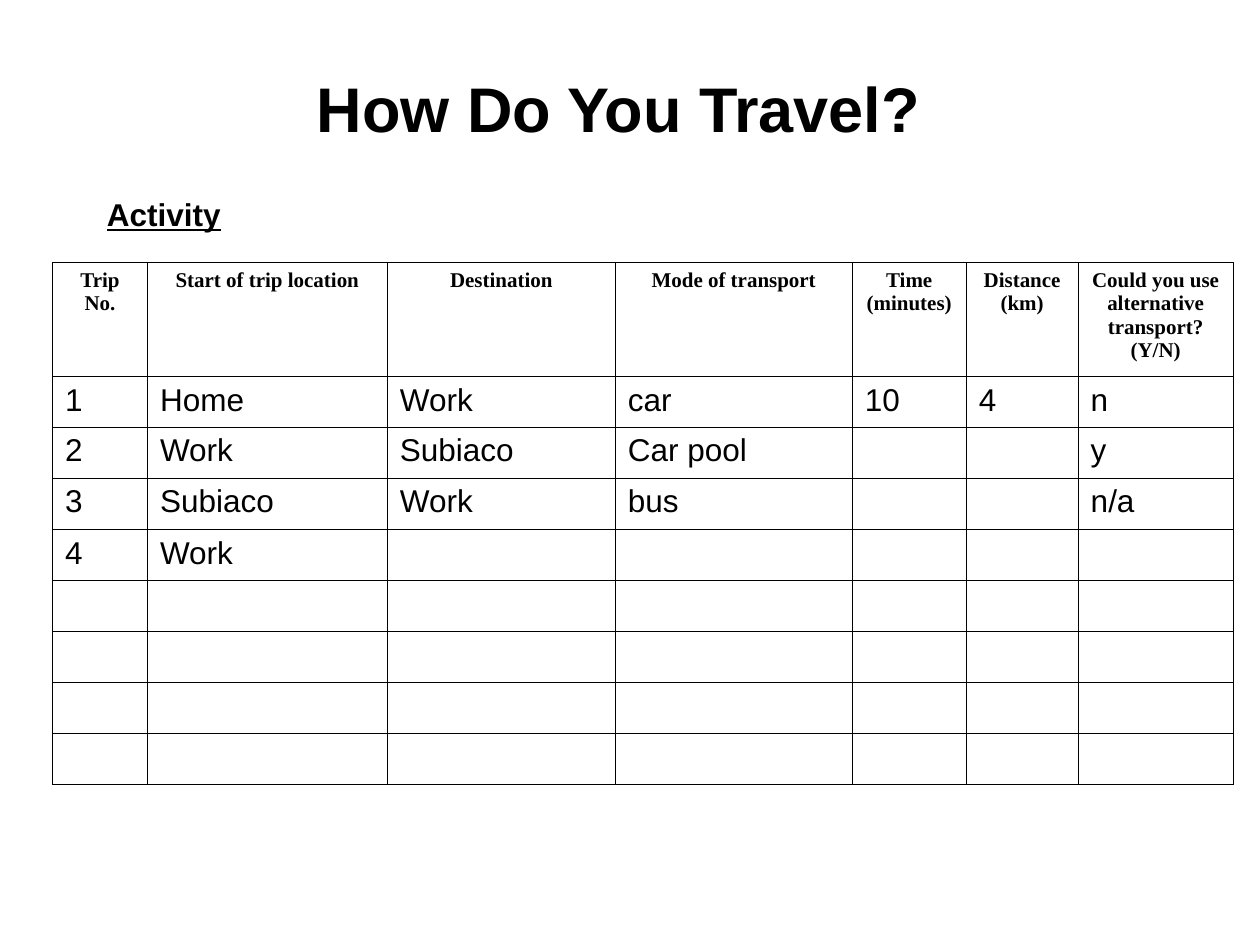
from dataclasses import dataclass

from lxml.etree import SubElement
from pptx import Presentation
from pptx.dml.color import RGBColor
from pptx.enum.text import MSO_AUTO_SIZE as AutoSize, PP_ALIGN as Align
from pptx.oxml.ns import qn
from pptx.util import Pt


@dataclass(frozen=True)
class Theme:
    ink: RGBColor = RGBColor(0, 0, 0)
    sans: str = "Arial"
    serif: str = "Times New Roman"
    title: float = 36
    body: float = 18
    header: float = 12
    border: float = 0.45


@dataclass(frozen=True)
class Label:
    text: str
    left: float
    top: float
    width: float
    height: float
    size: float
    underline: bool = False


@dataclass(frozen=True)
class Column:
    header: str
    width: float


THEME = Theme()
LABELS = (
    Label("How Do You Travel?", 174, 36, 384, 50.4, THEME.title),
    Label("Activity", 54, 108, 594, 29, THEME.body, underline=True),
)
COLUMNS = (
    Column("Trip No.", 54.3),
    Column("Start of trip location", 137.1),
    Column("Destination", 130.3),
    Column("Mode of transport", 135.4),
    Column("Time\n(minutes)", 65.1),
    Column("Distance\n(km)", 64),
    Column("Could you use alternative transport?\n(Y/N)", 88.6),
)
TRIPS = (
    ("1", "Home", "Work", "car", "10", "4", "n"),
    ("2", "Work", "Subiaco", "Car pool", "", "", "y"),
    ("3", "Subiaco", "Work", "bus", "", "", "n/a"),
    ("4", "Work", "", "", "", "", ""),
)
TRIP_ROWS = 8
TABLE_LEFT, TABLE_TOP = 30, 150
HEADER_HEIGHT, TRIP_HEIGHT = 65, 29


def write(tf, text: str, align: Align, font: dict) -> None:
    """Fill a text frame, one paragraph per line of text."""
    tf.text = text
    for p in tf.paragraphs:
        p.alignment = align
        for r in p.runs:
            r.font.color.rgb = THEME.ink
            for name, value in font.items():
                setattr(r.font, name, value)


def add_label(s, label: Label) -> None:
    box = s.shapes.add_textbox(
        Pt(label.left), Pt(label.top), Pt(label.width), Pt(label.height))
    tf = box.text_frame
    tf.word_wrap = True
    tf.auto_size = AutoSize.SHAPE_TO_FIT_TEXT
    write(tf, label.text, Align.LEFT, {
        "name": THEME.sans, "size": Pt(label.size),
        "bold": True, "underline": label.underline})


def add_borders(cell) -> None:
    tc_pr = cell._tc.get_or_add_tcPr()
    for side in ("lnL", "lnR", "lnT", "lnB"):
        ln = SubElement(tc_pr, qn(f"a:{side}"), w=str(Pt(THEME.border)))
        fill = SubElement(ln, qn("a:solidFill"))
        SubElement(fill, qn("a:srgbClr"), val=str(THEME.ink))


def add_trip_table(s) -> None:
    width = sum(c.width for c in COLUMNS)
    height = HEADER_HEIGHT + TRIP_ROWS * TRIP_HEIGHT
    table = s.shapes.add_table(
        TRIP_ROWS + 1, len(COLUMNS), Pt(TABLE_LEFT), Pt(TABLE_TOP),
        Pt(width), Pt(height)).table
    table.first_row = table.horz_banding = False
    for column, data in zip(table.columns, COLUMNS):
        column.width = Pt(data.width)
    for i, row in enumerate(table.rows):
        row.height = Pt(TRIP_HEIGHT if i else HEADER_HEIGHT)
    for cell in table.iter_cells():
        add_borders(cell)
        cell.fill.background()

    header_font = {"name": THEME.serif, "size": Pt(THEME.header), "bold": True}
    trip_font = {"name": THEME.sans, "size": Pt(THEME.body), "bold": False}
    for j, data in enumerate(COLUMNS):
        write(table.cell(0, j).text_frame, data.header, Align.CENTER, header_font)
    for i, trip in enumerate(TRIPS, start=1):
        for j, text in enumerate(trip):
            if text:
                write(table.cell(i, j).text_frame, text, Align.LEFT, trip_font)


def main() -> None:
    prs = Presentation()
    prs.slide_width, prs.slide_height = Pt(720), Pt(540)
    s = prs.slides.add_slide(prs.slide_layouts[6])
    add_trip_table(s)
    for label in LABELS:
        add_label(s, label)
    prs.save("out.pptx")


if __name__ == "__main__":
    main()
